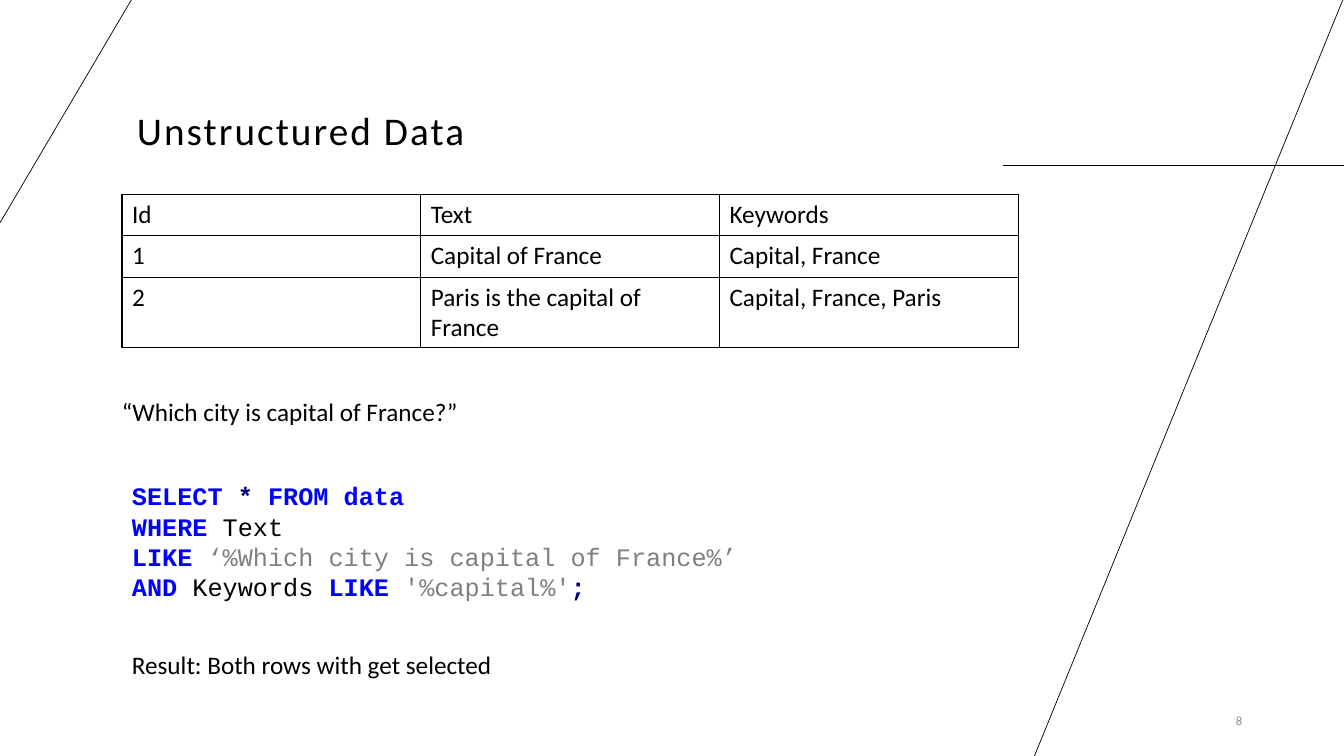
from lxml import etree
from pptx import Presentation
from pptx.dml.color import RGBColor
from pptx.enum import shapes, text
from pptx.oxml import ns
from pptx.util import Inches, Pt

BLACK = RGBColor(0, 0, 0)
GRAY = RGBColor(0x8C, 0x8C, 0x8C)
BLUE = RGBColor(0, 0, 0xFF)
NAVY = RGBColor(0, 0, 0x80)
QUOTE = RGBColor(0x80, 0x80, 0x80)

BASE = {"name": "Calibri", "size": Pt(18), "bold": False}
CODE = {**BASE, "name": "Courier New"}

ROWS = [
    ["Id", "Text", "Keywords"],
    ["1", "Capital of France", "Capital, France"],
    ["2", "Paris is the capital of France", "Capital, France, Paris"],
]

# Two paragraphs; None is a line break within one
QUERY = [
    [("SELECT", BLUE), (" ", BLACK), ("*", NAVY), (" ", BLACK),
     ("FROM", BLUE), (" ", BLACK), ("data", BLUE)],
    [("WHERE", BLUE), (" Text ", BLACK), None,
     ("LIKE", BLUE), (" ", BLACK),
     ("‘%Which city is capital of France%’", QUOTE), (" ", BLACK), None,
     ("AND", BLUE), (" Keywords ", BLACK), ("LIKE", BLUE), (" ", BLACK),
     ("'%capital%'", QUOTE), (";", NAVY)],
]


def add_run(par, words, color, style):
    run = par.add_run()
    run.text = words
    for key, val in style.items():
        setattr(run.font, key, val)
    run.font.color.rgb = color
    return run


def add_box(slide, box, **frame):
    body = slide.shapes.add_textbox(*map(Inches, box)).text_frame
    for key, val in frame.items():
        setattr(body, key, val)
    return body


def add_line(slide, *ends):
    line = slide.shapes.add_connector(
        shapes.MSO_CONNECTOR.STRAIGHT, *map(Inches, ends))
    line.line.color.rgb = BLACK
    line.line.width = Pt(0.5)
    etree.SubElement(line._element.spPr, ns.qn("a:effectLst"))


def add_frame(slide, wide, high):
    """Thin decorative lines around the slide."""
    add_line(slide, 9.95, 1.64, wide, 1.64)
    add_line(slide, wide, -0.03, 10.26, high)
    add_line(slide, 0, 2.21, 1.32, -0.03)


def add_title(slide, box, words):
    body = add_box(slide, box, word_wrap=True,
                   vertical_anchor=text.MSO_ANCHOR.BOTTOM)
    par = body.paragraphs[0]
    par.line_spacing = 0.9
    run = add_run(par, words, BLACK, {**BASE, "size": Pt(28)})
    run.font._element.set("spc", "150")


def add_edges(cell):
    props = cell._tc.get_or_add_tcPr()
    for spot, side in enumerate("LRTB"):
        edge = etree.Element(ns.qn("a:ln" + side), w=str(Pt(1)))
        fill = etree.SubElement(edge, ns.qn("a:solidFill"))
        etree.SubElement(fill, ns.qn("a:srgbClr"), val=str(BLACK))
        props.insert(spot, edge)


def add_grid(slide, box, rows):
    grid = slide.shapes.add_table(
        len(rows), len(rows[0]), *map(Inches, box)).table
    grid.first_row = grid.horz_banding = False
    for row, high in zip(grid.rows, (0.41, 0.41, 0.69)):
        row.height = Inches(high)
    for r, row in enumerate(rows):
        for c, words in enumerate(row):
            cell = grid.cell(r, c)
            cell.fill.background()
            add_edges(cell)
            add_run(cell.text_frame.paragraphs[0], words, BLACK, BASE)


def add_note(slide, box, words):
    body = add_box(slide, box, word_wrap=False)
    add_run(body.paragraphs[0], words, BLACK, BASE)


def add_query(slide, box, pars):
    body = add_box(slide, box, word_wrap=False)
    for i, parts in enumerate(pars):
        par = body.add_paragraph() if i else body.paragraphs[0]
        for part in parts:
            if part is None:
                par.add_line_break()
                continue
            words, color = part
            bold = color in (BLUE, NAVY)
            add_run(par, words, color, {**CODE, "bold": bold})


def add_page(slide, box, num):
    body = add_box(slide, box, word_wrap=True,
                   vertical_anchor=text.MSO_ANCHOR.MIDDLE)
    par = body.paragraphs[0]
    par.alignment = text.PP_ALIGN.RIGHT
    add_run(par, num, GRAY, {**BASE, "size": Pt(9)})


def main():
    deck = Presentation()
    wide, high = 13.33, 7.5
    deck.slide_width, deck.slide_height = Inches(wide), Inches(high)
    slide = deck.slides.add_slide(deck.slide_layouts[6])

    add_frame(slide, wide, high)
    add_page(slide, (11.34, 6.95, 1.08, 0.4), "8")
    add_grid(slide, (1.21, 1.93, 8.89, 1.51), ROWS)
    add_query(slide, (1.21, 4.72, 6.38, 1.31), QUERY)
    add_note(slide, (1.21, 6.39, 4.02, 0.4),
             "Result: Both rows with get selected")
    add_note(slide, (1.11, 3.88, 3.81, 0.4),
             "“Which city is capital of France?”")
    add_title(slide, (1.26, 0.63, 7.97, 0.95), "Unstructured Data")
    deck.save("out.pptx")


if __name__ == "__main__":
    main()
